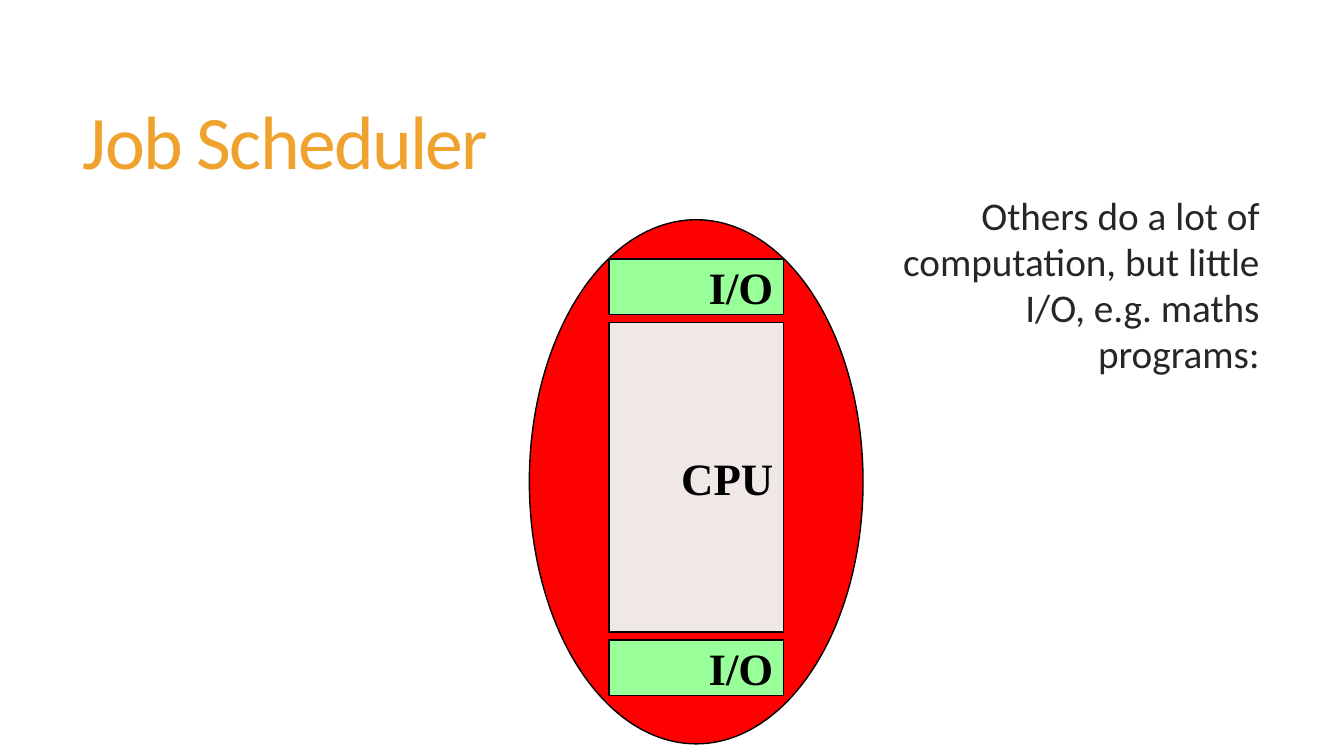
from pptx import Presentation
from pptx.dml.color import RGBColor
from pptx.enum.shapes import MSO_SHAPE as SHAPE
from pptx.enum.text import MSO_ANCHOR as ANCHOR, PP_ALIGN as ALIGN
from pptx.util import Inches, Pt

# Colours
BLACK = RGBColor(0x00, 0x00, 0x00)
ORANGE = RGBColor(0xF0, 0xA2, 0x2E)
DARK_GREY = RGBColor(0x26, 0x26, 0x26)
RED = RGBColor(0xFF, 0x00, 0x00)
GREEN = RGBColor(0x99, 0xFF, 0x99)
PALE_GREY = RGBColor(0xF0, 0xE8, 0xE6)

# Content: phases of the job as label, height in inches, colour
TITLE = "Job Scheduler"
NOTE = "Others do a lot of computation, but little I/O, e.g. maths programs:"
PHASES = [("I/O", 0.55, GREEN), ("CPU", 3.07, PALE_GREY), ("I/O", 0.55, GREEN)]

# Layout in inches
JOB = (5.25, 2.18, 3.31, 5.2)
STACK_LEFT, STACK_TOP, STACK_WIDTH, GAP = 6.04, 2.57, 1.73, 0.08


def write(shape, text, size, color, font="Calibri", bold=False,
          align=ALIGN.LEFT, anchor=ANCHOR.MIDDLE, line_spacing=1.0):
    tf = shape.text_frame
    tf.word_wrap = True
    tf.vertical_anchor = anchor
    p = tf.paragraphs[0]
    p.alignment = align
    p.line_spacing = line_spacing
    p.space_before = Pt(0)
    r = p.add_run()
    r.text = text
    r.font.name, r.font.size, r.font.bold = font, Pt(size), bold
    r.font.color.rgb = color
    return r


def add_block(s, kind, box, fill):
    sp = s.shapes.add_shape(kind, *map(Inches, box))
    sp.shadow.inherit = False
    sp.fill.solid()
    sp.fill.fore_color.rgb = fill
    sp.line.color.rgb = BLACK
    sp.line.width = Pt(1)
    return sp


prs = Presentation()
prs.slide_width, prs.slide_height = Inches(13.33), Inches(7.5)
s = prs.slides.add_slide(prs.slide_layouts[5])

# Title
title = s.shapes.title
title.left, title.top, title.width, title.height = map(
    Inches, (0.72, 0.55, 11.78, 1.81))
r = write(title, TITLE, 54, ORANGE, line_spacing=0.85)
r.font._element.set("spc", "-120")

# Explanation on the right
note = s.shapes.add_textbox(*map(Inches, (8.68, 1.87, 3.91, 4.15)))
write(note, NOTE, 28, DARK_GREY, align=ALIGN.RIGHT, anchor=ANCHOR.TOP,
      line_spacing=0.98)

# Job with its stacked phases
add_block(s, SHAPE.OVAL, JOB, RED)
top = STACK_TOP
for label, height, fill in PHASES:
    sp = add_block(s, SHAPE.RECTANGLE, (STACK_LEFT, top, STACK_WIDTH, height), fill)
    write(sp, label, 32, BLACK, font="Times New Roman", bold=True, align=ALIGN.RIGHT)
    top += height + GAP

prs.save("out.pptx")
